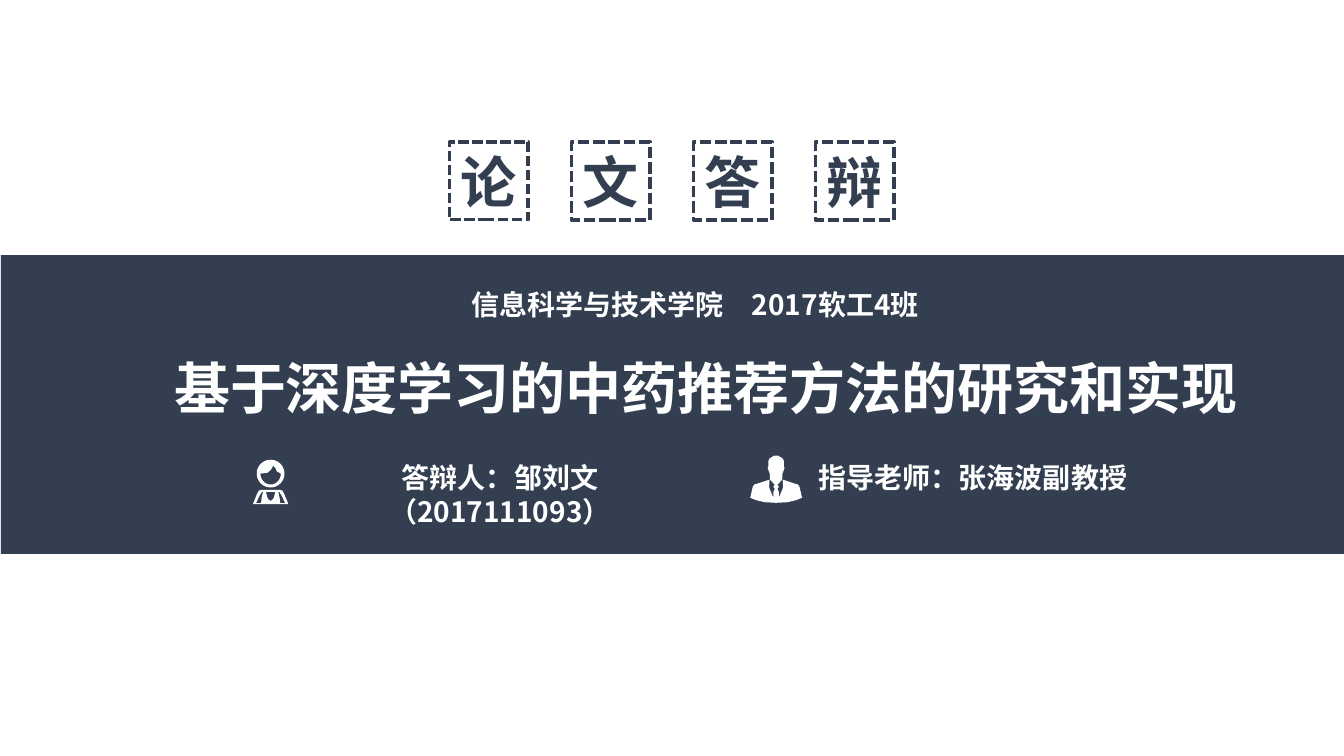
"""Build the title slide of a thesis defence."""
from math import cos, pi, sin

from pptx import Presentation
from pptx.dml.color import RGBColor
from pptx.enum.dml import MSO_LINE
from pptx.enum.shapes import MSO_SHAPE
from pptx.enum.text import MSO_ANCHOR, MSO_AUTO_SIZE, PP_ALIGN
from pptx.oxml.ns import qn
from pptx.util import Pt

NAVY = RGBColor(0x33, 0x3F, 0x50)
WHITE = RGBColor(0xFF, 0xFF, 0xFF)
FONT = "Noto Sans CJK SC"


def write(shape, text, size, color):
    frame = shape.text_frame
    frame.word_wrap = True
    frame.text = text
    paragraph = frame.paragraphs[0]
    paragraph.alignment = PP_ALIGN.CENTER
    font = paragraph.runs[0].font
    font.name, font.size, font.bold = FONT, Pt(size), True
    font.color.rgb = color
    east_asian = font._element.makeelement(qn("a:ea"), {"typeface": FONT})
    font._element.find(qn("a:latin")).addnext(east_asian)


def draw_icon(slide, contours, left, top):
    outlines = [[(x * 100, y * 100) for x, y in contour] for contour in contours]
    builder = slide.shapes.build_freeform(*outlines[0][0], scale=Pt(0.01))
    builder.add_line_segments(outlines[0][1:])
    for outline in outlines[1:]:
        builder.move_to(*outline[0])
        builder.add_line_segments(outline[1:])
    icon = builder.convert_to_shape(Pt(left), Pt(top))
    icon.shadow.inherit = False
    icon.fill.solid()
    icon.fill.fore_color.rgb = WHITE
    icon.line.fill.background()


presentation = Presentation()
presentation.slide_width, presentation.slide_height = Pt(960), Pt(540)
slide = presentation.slides.add_slide(presentation.slide_layouts[6])

band = slide.shapes.add_shape(MSO_SHAPE.RECTANGLE, Pt(0.7), Pt(182.2), Pt(961), Pt(213.4))
band.shadow.inherit = False
band.fill.solid()
band.fill.fore_color.rgb = NAVY
band.line.fill.background()

for text, size, left, top, width, height in [
    ("基于深度学习的中药推荐方法的研究和实现", 40, 108, 249, 792, 55.5),
    ("答辩人：邹刘文（2017111093）", 20, 206, 325.4, 302.4, 31.5),
    ("指导老师：张海波副教授", 20, 573, 325.4, 244, 31.5),
    ("信息科学与技术学院　2017软工4班", 20, 279.4, 201.6, 434, 31.5),
]:
    box = slide.shapes.add_textbox(Pt(left), Pt(top), Pt(width), Pt(height))
    write(box, text, size, WHITE)
    box.text_frame.auto_size = MSO_AUTO_SIZE.SHAPE_TO_FIT_TEXT

teacher_half = [
    (0, 0), (1.5, 0.2), (3.6, 1.4), (5, 2.5), (5.6, 4.3), (5.6, 7.9), (6, 8.6),
    (5.4, 10.8), (4.5, 13), (4.3, 17.3), (0.9, 20.9), (2, 22.3), (0.9, 23.8),
    (1.9, 25.9), (1.9, 30.2), (4.6, 24), (5, 22.3), (4.7, 17.3), (7, 18),
    (13.7, 20.2), (15.5, 20.7), (16.7, 22.3), (18.5, 30.2), (14, 32), (8, 33.4), (0, 33.8),
]
teacher = teacher_half + [(-x, y) for x, y in reversed(teacher_half)]
draw_icon(slide, [teacher], 554.4, 325.4)

coat_half = [(-12.6, 31.7), (-9.7, 24.5), (-8.4, 22.2), (-6.8, 21.6)]
collar_half = [(-3.3, 23), (-2.4, 27), (-1.2, 28.8), (0, 29.5)]
coat, collar = [
    half + [(-x, y) for x, y in reversed(half)] for half in (coat_half, collar_half)
]
left_sleeve = [(-6.1, 23), (-7.6, 25.2), (-10.4, 31), (-6.8, 31), (-6.4, 27), (-5.4, 23)]
right_sleeve = [(-x, y) for x, y in left_sleeve]
head = [(9.9 * cos(i * pi / 24), 10 + 9.9 * sin(i * pi / 24)) for i in range(48)]
chin = [(7.3 * cos(i * pi / 16), 10 + 7.8 * sin(i * pi / 16)) for i in range(17)]
face = chin + [(-2.5, 9.5), (0, 7.5), (1.9, 4.3), (3.6, 6.3), (4.5, 8.5)]
draw_icon(slide, [coat, left_sleeve, collar, right_sleeve, head, face], 193.3, 328.3)

for index, character in enumerate("论文答辩"):
    tile = slide.shapes.add_shape(
        MSO_SHAPE.RECTANGLE, Pt(321.1 + 87.12 * index), Pt(101.5), Pt(56.2), Pt(55.5)
    )
    tile.shadow.inherit = False
    tile.fill.background()
    tile.line.color.rgb = NAVY
    tile.line.width = Pt(2.75 if index else 2.5)
    tile.line.dash_style = MSO_LINE.SQUARE_DOT
    write(tile, character, 40, NAVY)
    tile.text_frame.vertical_anchor = MSO_ANCHOR.MIDDLE

presentation.save("out.pptx")
